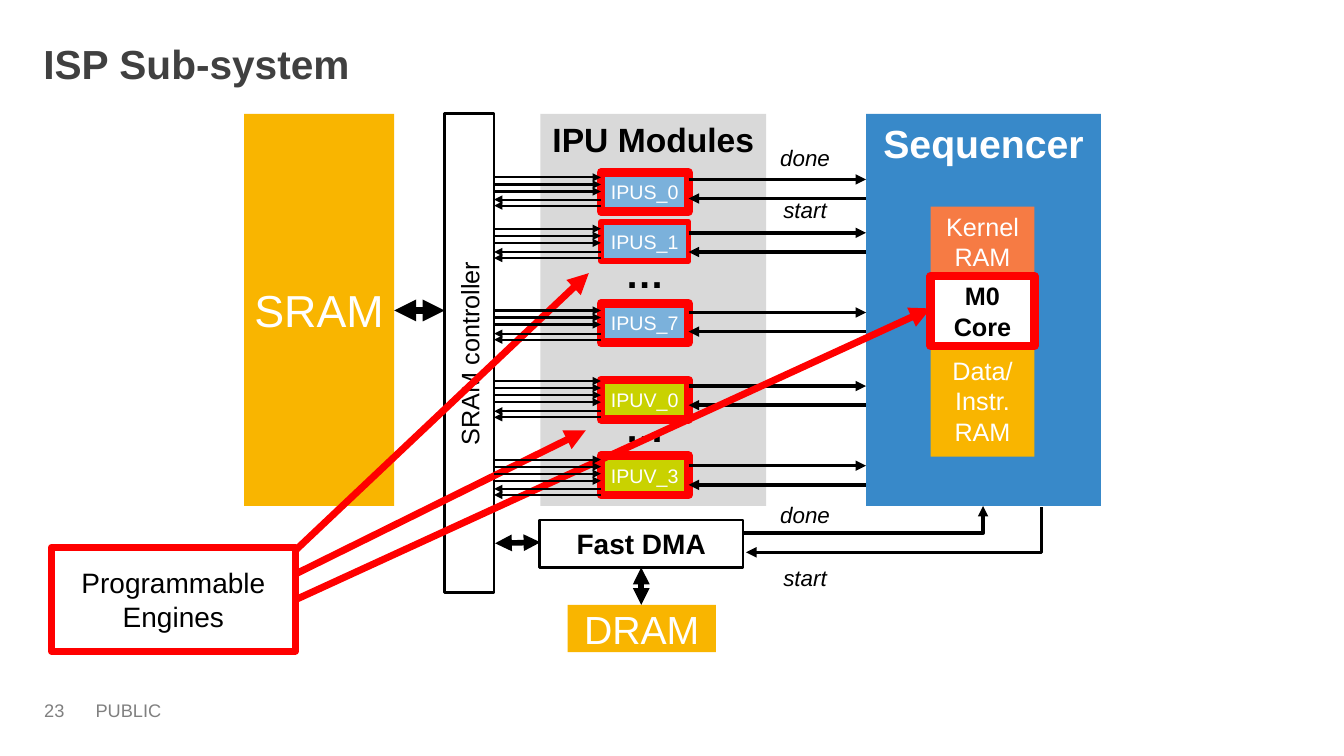
"""Build the ISP sub-system block diagram slide."""
from dataclasses import dataclass
from typing import NamedTuple

from lxml import etree
from pptx import Presentation
from pptx import util as u
from pptx.dml import color
from pptx.enum import shapes as kinds, text
from pptx.oxml import ns
from pptx.shapes import shapetree as tree
from pptx.text import text as words


@dataclass(frozen=True)
class Theme:
    """Colours, type sizes and line widths of the slide."""
    font: str = "Arial"
    ink: str = "000000"
    paper: str = "FFFFFF"
    title: str = "404040"
    footer: str = "808080"
    memory: str = "F9B500"
    panel: str = "D9D9D9"
    sequencer: str = "3889C9"
    kernel: str = "F67B44"
    scalar: str = "7BB1DB"
    vector: str = "C9D200"
    highlight: str = "FF0000"
    title_size: int = 29
    sram_size: int = 32
    heading_size: int = 28
    panel_size: int = 24
    label_size: int = 20
    body_size: int = 18
    signal_size: int = 16
    module_size: int = 14
    footer_size: int = 13
    bus_width: float = 1.5
    signal_width: float = 2.5
    link_width: float = 4
    pointer_width: float = 5
    engine_border: float = 6


class Block(NamedTuple):
    """A rectangle with a caption; without a fill it is plain text."""
    caption: str
    left: float
    top: float
    width: float
    height: float
    size: float
    fill: str | None = None
    ink: str = "000000"
    bold: bool = False
    italic: bool = False
    border: str | None = None
    border_width: float = 0
    anchor: text.MSO_ANCHOR = text.MSO_ANCHOR.MIDDLE
    vertical: bool = False


class Arrow(NamedTuple):
    """A line from start to end, with a head at either or both ends."""
    start: tuple[float, float]
    end: tuple[float, float]
    width: float
    color: str = "000000"
    at_start: bool = False
    at_end: bool = True
    bent: bool = False


class Module(NamedTuple):
    """An IPU module with the tops of its box and of its three line sets."""
    caption: str
    top: float
    fill: str
    border_width: float
    signals: float
    reads: float
    read_count: int
    writes: float


THEME = Theme()
TOP = text.MSO_ANCHOR.TOP
MODULE_LEFT, MODULE_WIDTH, MODULE_HEIGHT = 5.96, 0.87, 0.39
MODULE_RIGHT = MODULE_LEFT + MODULE_WIDTH
CONTROLLER_RIGHT, SEQUENCER_LEFT = 4.9, 8.59
READ_STEP, WRITE_STEP, SIGNAL_STEP = 0.07, 0.06, 0.19

MODULES = [
    Module("IPUS_0", 1.71, THEME.scalar, 6, 1.78, 1.76, 3, 1.98),
    Module("IPUS_1", 2.2, THEME.scalar, 4, 2.31, 2.27, 3, 2.5),
    Module("IPUS_7", 3.01, THEME.scalar, 6, 3.1, 3.08, 3, 3.31),
    Module("IPUV_0", 3.77, THEME.vector, 6, 3.83, 3.78, 4, 4.08),
    Module("IPUV_3", 4.52, THEME.vector, 6, 4.62, 4.56, 4, 4.85),
]
PANELS = [
    Block("SRAM", 2.42, 1.13, 1.49, 3.89, THEME.sram_size, THEME.memory, THEME.paper),
    Block("SRAM controller", 4.41, 1.13, 0.49, 4.75, THEME.body_size, THEME.paper,
          border=THEME.ink, border_width=2, vertical=True),
    Block("IPU Modules", 5.36, 1.13, 2.24, 3.89, THEME.panel_size, THEME.panel,
          bold=True, anchor=TOP),
    Block("Sequencer", SEQUENCER_LEFT, 1.13, 2.33, 3.89, THEME.heading_size,
          THEME.sequencer, THEME.paper, bold=True, anchor=TOP),
]
ELLIPSES = [Block("…", MODULE_LEFT, top, MODULE_WIDTH, 0.42, THEME.heading_size, bold=True)
            for top in (2.5, 4.02)]
SIGNAL_NAMES = [Block(caption, 7.63, top, 0.71, 0.34, THEME.signal_size, italic=True, anchor=TOP)
                for caption, top in (("done", 1.38), ("start", 1.9), ("done", 4.92), ("start", 5.55))]
ENGINES = Block("Programmable Engines", 0.51, 5.43, 2.42, 1.03, THEME.label_size, THEME.paper,
                border=THEME.highlight, border_width=THEME.pointer_width)
POINTERS = [Arrow(start, end, THEME.pointer_width, THEME.highlight) for start, end in (
    ((2.93, 5.46), (5.84, 2.71)), ((2.94, 5.69), (5.81, 4.27)), ((2.93, 5.95), (9.23, 3.06)))]
MEMORY_PATH = [
    Block("Fast DMA", 5.35, 5.16, 2.02, 0.47, THEME.label_size, THEME.paper, bold=True,
          border=THEME.ink, border_width=2),
    Block("DRAM", 5.63, 6, 1.47, 0.47, THEME.heading_size, THEME.memory, THEME.paper),
]
LINKS = [
    Arrow((3.91, 3.08), (4.41, 3.08), 5.25, at_start=True),
    Arrow((4.91, 5.39), (5.36, 5.38), THEME.link_width, at_start=True),
    Arrow((6.36, 6), (6.36, 5.63), THEME.link_width, at_start=True),
    Arrow((7.37, 5.29), (9.75, 5.02), THEME.signal_width, bent=True),
    Arrow((7.4, 5.48), (10.33, 5.03), THEME.signal_width, at_start=True, at_end=False, bent=True),
]
CORE = [
    Block("Kernel RAM", 9.23, 2.05, 1.03, 0.69, THEME.body_size, THEME.kernel, THEME.paper),
    Block("Data/ Instr. RAM", 9.23, 3.42, 1.03, 1.11, THEME.body_size, THEME.memory, THEME.paper),
    Block("M0 Core", 9.23, 2.74, 1.03, 0.69, THEME.body_size, THEME.paper, bold=True,
          border=THEME.highlight, border_width=THEME.engine_border),
]


def rgb(value: str) -> color.RGBColor:
    """Turn a hex string into a colour."""
    return color.RGBColor.from_string(value)


def write(frame: words.TextFrame, caption: str, size: float, ink: str, align: text.PP_ALIGN,
          bold: bool = False, italic: bool = False) -> None:
    """Set a caption and format its run."""
    frame.text = caption
    frame.word_wrap = True
    paragraph = frame.paragraphs[0]
    paragraph.alignment = align
    font = paragraph.runs[0].font
    font.name, font.size, font.bold, font.italic = THEME.font, u.Pt(size), bold, italic
    font.color.rgb = rgb(ink)


def draw_block(canvas: tree.SlideShapes | tree.GroupShapes, block: Block) -> None:
    """Draw a captioned rectangle or a plain caption."""
    box = [u.Inches(n) for n in (block.left, block.top, block.width, block.height)]
    if block.fill:
        panel = canvas.add_shape(kinds.MSO_SHAPE.RECTANGLE, *box)
        panel.shadow.inherit = False
        panel.fill.solid()
        panel.fill.fore_color.rgb = rgb(block.fill)
        if block.border:
            panel.line.color.rgb = rgb(block.border)
            panel.line.width = u.Pt(block.border_width)
        else:
            panel.line.fill.background()
    else:
        panel = canvas.add_textbox(*box)
    frame = panel.text_frame
    write(frame, block.caption, block.size, block.ink, text.PP_ALIGN.CENTER, block.bold, block.italic)
    frame.vertical_anchor = block.anchor
    frame.margin_left = frame.margin_right = u.Inches(0.05)
    if block.vertical:
        frame._txBody.bodyPr.set("vert", "vert270")


def draw_arrow(canvas: tree.SlideShapes, arrow: Arrow) -> None:
    """Draw a straight or once-bent line with its heads."""
    kind = kinds.MSO_CONNECTOR.ELBOW if arrow.bent else kinds.MSO_CONNECTOR.STRAIGHT
    link = canvas.add_connector(kind, *(u.Inches(n) for n in arrow.start + arrow.end))
    link.line.color.rgb = rgb(arrow.color)
    link.line.width = u.Pt(arrow.width)
    properties = link._element.spPr
    if arrow.bent:
        properties.find(ns.qn("a:prstGeom")).set("prst", "bentConnector2")
    outline = properties.find(ns.qn("a:ln"))
    for tag, shown in (("a:headEnd", arrow.at_start), ("a:tailEnd", arrow.at_end)):
        if shown:
            etree.SubElement(outline, ns.qn(tag), type="triangle")
    etree.SubElement(properties, ns.qn("a:effectLst"))


def module_block(module: Module) -> Block:
    """Describe the box of an IPU module."""
    return Block(module.caption, MODULE_LEFT, module.top, MODULE_WIDTH, MODULE_HEIGHT, THEME.module_size,
                 module.fill, THEME.paper, border=THEME.highlight, border_width=module.border_width)


def signal_arrows(module: Module) -> list[Arrow]:
    """Describe the done and start lines between a module and the sequencer."""
    done, start = module.signals, module.signals + SIGNAL_STEP
    return [Arrow((MODULE_RIGHT, done), (SEQUENCER_LEFT, done), THEME.signal_width),
            Arrow((SEQUENCER_LEFT, start), (MODULE_RIGHT, start), THEME.signal_width)]


def bus_arrows(module: Module) -> list[Arrow]:
    """Describe the read and write lines between the controller and a module."""
    reads = [module.reads + i * READ_STEP for i in range(module.read_count)]
    writes = [module.writes + i * WRITE_STEP for i in range(2)]
    return ([Arrow((CONTROLLER_RIGHT, y), (MODULE_LEFT, y), THEME.bus_width) for y in reads]
            + [Arrow((MODULE_LEFT, y), (CONTROLLER_RIGHT, y), THEME.bus_width) for y in writes])


def main() -> None:
    """Build and save the slide."""
    deck = Presentation()
    deck.slide_width, deck.slide_height = u.Inches(13.33), u.Inches(7.5)
    slide = deck.slides.add_slide(deck.slide_layouts[5])
    canvas = slide.shapes

    title = canvas.title
    title.left, title.top, title.width, title.height = (u.Inches(n) for n in (0.33, 0.31, 12.75, 0.72))
    write(title.text_frame, "ISP Sub-system", THEME.title_size, THEME.title, text.PP_ALIGN.LEFT, True)
    title.text_frame.vertical_anchor = TOP
    title.text_frame.margin_top = u.Inches(0.08)
    for caption, left, width in (("PUBLIC", 0.85, 3.98), ("23", 0.34, 0.65)):
        footer = canvas.add_textbox(u.Inches(left), u.Inches(6.89), u.Inches(width), u.Inches(0.32))
        write(footer.text_frame, caption, THEME.footer_size, THEME.footer, text.PP_ALIGN.LEFT)

    for block in PANELS + [module_block(m) for m in MODULES] + ELLIPSES:
        draw_block(canvas, block)
    for arrow in [a for m in MODULES for a in signal_arrows(m)]:
        draw_arrow(canvas, arrow)
    for block in SIGNAL_NAMES + [ENGINES]:
        draw_block(canvas, block)
    for arrow in POINTERS:
        draw_arrow(canvas, arrow)
    for block in MEMORY_PATH:
        draw_block(canvas, block)
    core = canvas.add_group_shape()
    for block in CORE:
        draw_block(core.shapes, block)
    for arrow in LINKS + [a for m in MODULES for a in bus_arrows(m)]:
        draw_arrow(canvas, arrow)
    deck.save("out.pptx")


if __name__ == "__main__":
    main()
